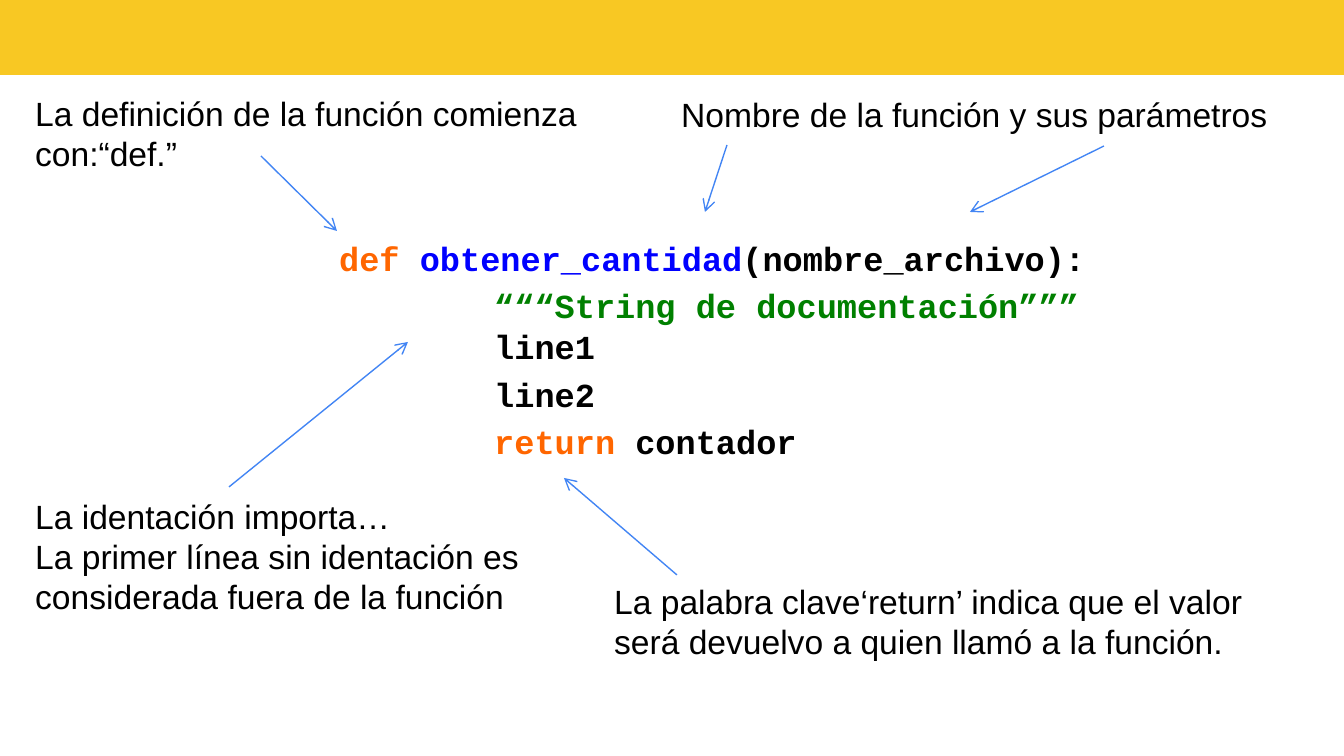
from lxml import etree
from pptx import Presentation
from pptx.dml.color import RGBColor
from pptx.enum.shapes import MSO_CONNECTOR, MSO_SHAPE
from pptx.enum.text import MSO_AUTO_SIZE
from pptx.oxml.ns import qn
from pptx.util import Emu, Pt

RECTANGLE = MSO_SHAPE.RECTANGLE
STRAIGHT = MSO_CONNECTOR.STRAIGHT
GROW = MSO_AUTO_SIZE.SHAPE_TO_FIT_TEXT
NO_AUTOFIT = MSO_AUTO_SIZE.NONE
PX = 914400 / 134.4
COLORS = {
    "band": "F8C823",
    "arrow": "4285F4",
    "text": "000000",
    "keyword": "FF6600",
    "name": "0000FF",
    "docstring": "008000",
}


def px(length):
    return Emu(round(length * PX))


def add_run(paragraph, text, font_name, color, bold=False):
    run = paragraph.add_run()
    run.text = text
    run.font.name = font_name
    run.font.size = Pt(18)
    run.font.bold = bold
    run.font.color.rgb = RGBColor.from_string(COLORS[color])


presentation = Presentation()
presentation.slide_width = px(1344)
presentation.slide_height = px(756)
slide = presentation.slides.add_slide(presentation.slide_layouts[6])

# Top band
band = slide.shapes.add_shape(RECTANGLE, px(-1), px(-7), px(1348), px(82))
band.shadow.inherit = False
band.fill.solid()
band.fill.fore_color.rgb = RGBColor.from_string(COLORS["band"])
band.line.fill.background()

# Explanations: left, top, width, height, wrap, paragraphs made of lines
notes = [
    (22, 86, 683, 95, True, [["La definición de la función comienza con:“def.”"]]),
    (668, 87, 620, 54, False, [["Nombre de la función y sus parámetros"]]),
    (22, 489, 527, 136, True, [
        ["La identación importa…"],
        ["La primer línea sin identación es considerada fuera de la función"],
    ]),
    (601, 574, 681, 95, False, [
        ["La palabra clave‘return’ indica que el valor",
         "será devuelvo a quien llamó a la función."],
    ]),
]
for left, top, width, height, wrap, paragraphs in notes:
    note = slide.shapes.add_textbox(px(left), px(top), px(width), px(height))
    frame = note.text_frame
    frame.word_wrap = wrap
    frame.auto_size = GROW
    for index, lines in enumerate(paragraphs):
        paragraph = frame.add_paragraph() if index else frame.paragraphs[0]
        for number, line in enumerate(lines):
            if number:
                paragraph.add_line_break()
            add_run(paragraph, line, "Arial", "text")

# Code: left indent, space before in points, coloured pieces
HEADER_INDENT, BODY_INDENT = 134, 289
code_lines = [
    (HEADER_INDENT, 4, [("def ", "keyword"), ("obtener_cantidad", "name"),
                        ("(nombre_archivo):", "text")]),
    (BODY_INDENT, 4, [("“““String de documentación”””", "docstring")]),
    (BODY_INDENT, 0, [("line1", "text")]),
    (BODY_INDENT, 4, [("line2", "text")]),
    (BODY_INDENT, 4, [("return ", "keyword"), ("contador", "text")]),
]
code = slide.shapes.add_textbox(px(192), px(231), px(923), px(249))
frame = code.text_frame
frame.word_wrap = True
frame.auto_size = NO_AUTOFIT
for index, (indent, space, pieces) in enumerate(code_lines):
    paragraph = frame.add_paragraph() if index else frame.paragraphs[0]
    paragraph.space_before = Pt(space)
    properties = paragraph._p.get_or_add_pPr()
    properties.set("marL", str(px(indent)))
    properties.set("indent", "0")
    for text, color in pieces:
        add_run(paragraph, text, "Courier New", color, bold=True)

# Arrows from the explanations to the code
arrows = [
    (261, 156, 337, 231),
    (727, 145, 705, 212),
    (1104, 146, 970, 212),
    (229, 487, 408, 342),
    (677, 575, 564, 478),
]
for ends in arrows:
    arrow = slide.shapes.add_connector(STRAIGHT, *map(px, ends))
    arrow.line.color.rgb = RGBColor.from_string(COLORS["arrow"])
    arrow.line.width = Pt(0.75)
    etree.SubElement(arrow.line._get_or_add_ln(), qn("a:tailEnd"), type="arrow")
    etree.SubElement(arrow._element.spPr, qn("a:effectLst"))

presentation.save("out.pptx")
